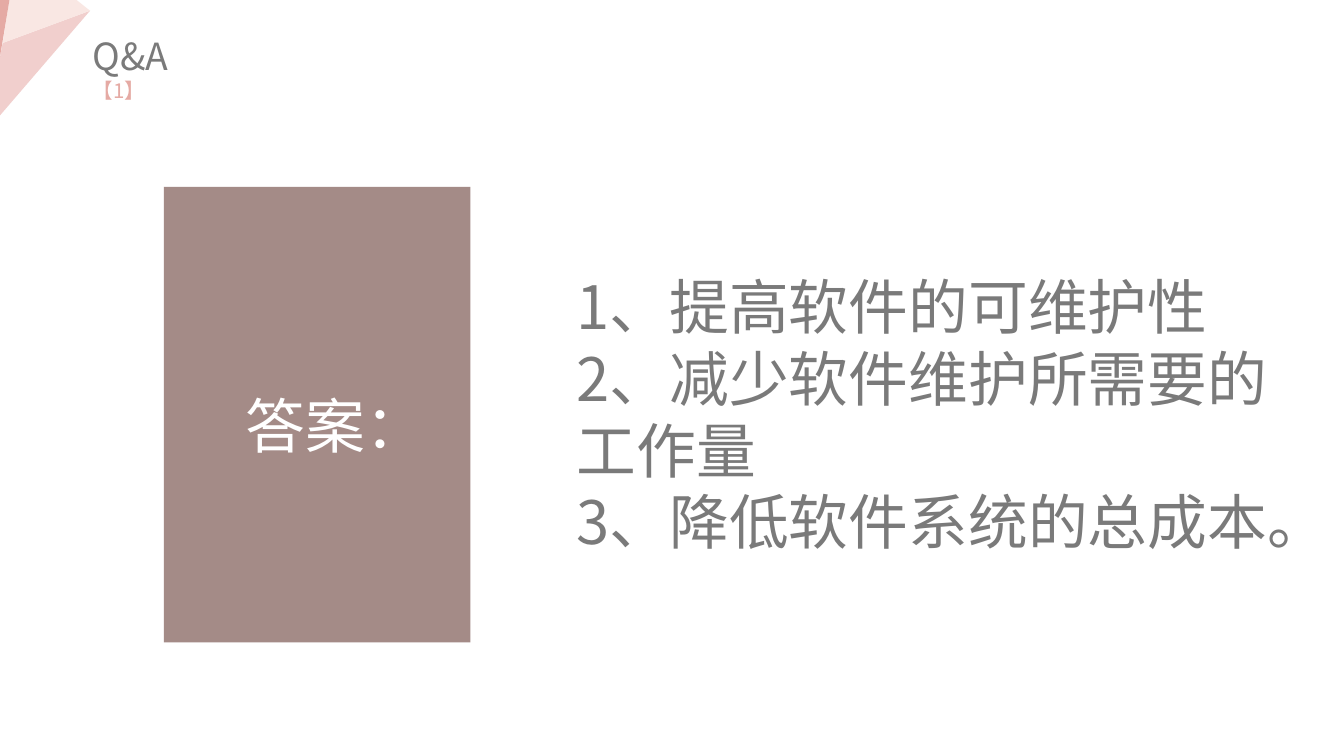
from pptx import Presentation
from pptx.dml.color import RGBColor
from pptx.enum.shapes import MSO_SHAPE
from pptx.enum.text import MSO_ANCHOR, PP_ALIGN
from pptx.oxml.ns import qn
from pptx.util import Inches, Pt
from lxml import etree

RECT = MSO_SHAPE.RECTANGLE
TOP = MSO_ANCHOR.TOP
LEFT, CENTER = PP_ALIGN.LEFT, PP_ALIGN.CENTER
FONT = "Noto Sans CJK SC"
WHITE = RGBColor(0xFF, 0xFF, 0xFF)
GRAY = RGBColor(0x7A, 0x7A, 0x7A)
MAUVE = RGBColor(0x9B, 0x7F, 0x7B)
ROSE = RGBColor(0xE5, 0xAA, 0xA4)
PINK = RGBColor(0xF1, 0xCF, 0xCD)
BLUSH = RGBColor(0xF9, 0xE7, 0xE3)

prs = Presentation()
prs.slide_width = Inches(10)
prs.slide_height = prs.slide_width * 9 // 16
s = prs.slides.add_slide(prs.slide_layouts[6])


def paint(sp, color):
    sp.shadow.inherit = False
    sp.fill.solid()
    sp.fill.fore_color.rgb = color
    sp.line.fill.background()


def add_text(box, inset, wrap, align, spacing, paragraphs):
    tf = s.shapes.add_textbox(*map(Inches, box)).text_frame
    margins = {"margin_left": inset, "margin_right": inset,
               "margin_top": inset / 2, "margin_bottom": inset / 2}
    for name, value in margins.items():
        setattr(tf, name, Inches(value))
    tf.word_wrap, tf.vertical_anchor = wrap, TOP
    for i, lines in enumerate(paragraphs):
        p = tf.add_paragraph() if i else tf.paragraphs[0]
        p.alignment, p.line_spacing = align, spacing
        for j, (text, size, color) in enumerate(lines):
            if j:
                p.add_line_break()
            r = p.add_run()
            r.text = text
            for name, value in {"size": Pt(size), "name": FONT}.items():
                setattr(r.font, name, value)
            r.font.color.rgb = color
            ea = etree.SubElement(r.font._element, qn("a:ea"))
            ea.set("typeface", FONT)


panel = s.shapes.add_shape(RECT, Inches(1.22), Inches(1.39), Inches(2.28), Inches(3.39))
paint(panel, MAUVE)
color = panel.fill._xPr.find(qn("a:solidFill"))[0]
etree.SubElement(color, qn("a:alpha")).set("val", "90000")

add_text((1.35, 2.74, 2.29, 0.7), 0.1, True, CENTER, 1.2, [[("答案：", 32, WHITE)]])

facets = [
    (PINK, [(0.67, 0.08), (0.02, 0.32), (-0.01, 0.48), (-0.01, 0.87)]),
    (BLUSH, [(0.67, 0.08), (0.57, 0), (0.07, 0), (0.02, 0.32)]),
    (ROSE, [(0.07, 0), (-0.01, 0), (-0.01, 0.48)]),
]
for color, points in facets:
    start, *rest = [(Inches(x), Inches(y)) for x, y in points]
    fb = s.shapes.build_freeform(*start)
    fb.add_line_segments(rest, close=True)
    paint(fb.convert_to_shape(), color)

add_text((0.59, 0.2, 1.23, 0.44), 0.1, False, LEFT, 1.0,
         [[("Q&A", 20, GRAY), ("【1】", 11, ROSE)]])

answers = ["1、提高软件的可维护性", "2、减少软件维护所需要的工作量", "3、降低软件系统的总成本。"]
add_text((4.29, 2.01, 5.35, 2.15), 0, True, LEFT, 1.0,
         [[(text, 32, GRAY)] for text in answers])

prs.save("out.pptx")
